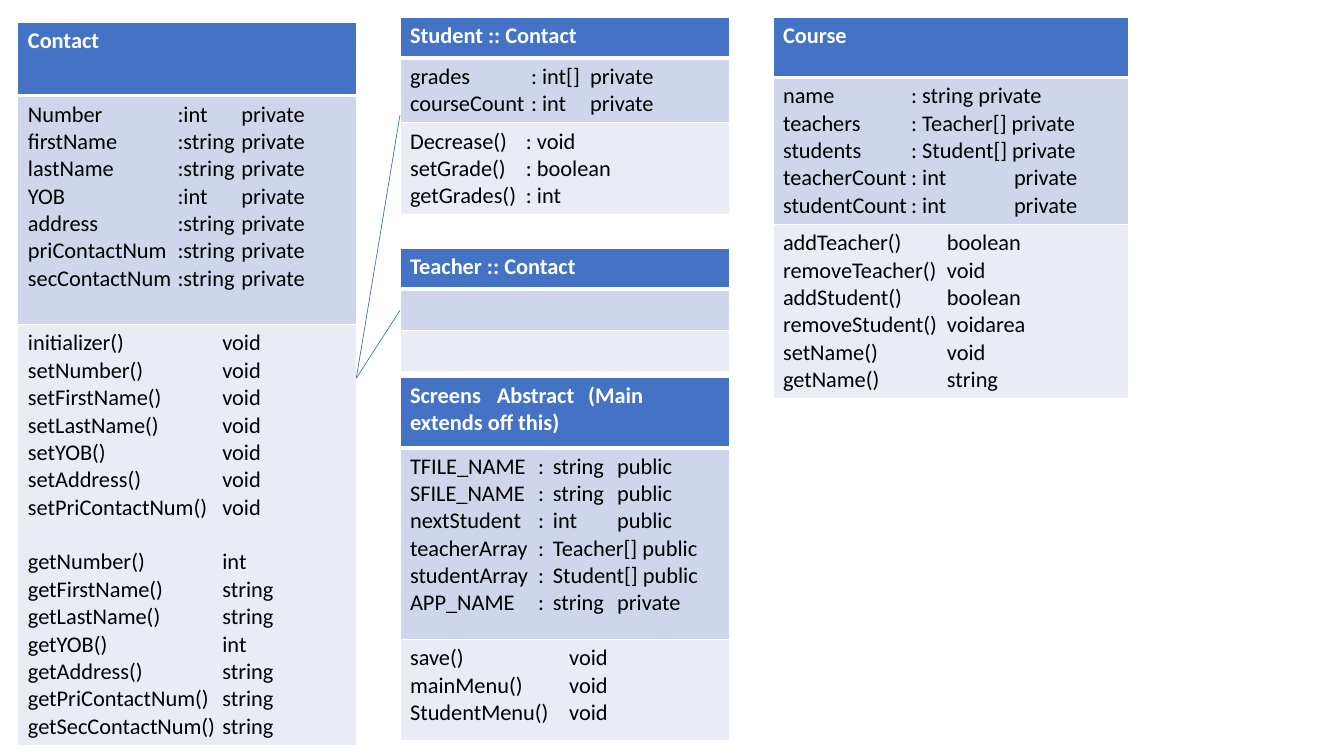
import dataclasses

import lxml.etree
import pptx
import pptx.dml.color
import pptx.oxml
import pptx.oxml.ns
import pptx.util

Cm = pptx.util.Cm
Pt = pptx.util.Pt


@dataclasses.dataclass(frozen=True)
class Theme:
    font: str = "Calibri"
    text_size: float = 16
    group_gap: float = 19.5
    border: float = 1
    header_border: float = 3
    link_width: float = 0.5
    accent: str = "4472C4"
    field_fill: str = "CFD5EA"
    method_fill: str = "E9EBF5"
    light: str = "FFFFFF"
    dark: str = "000000"


THEME = Theme()


@dataclasses.dataclass
class Section:
    """One row of a class box; each group of lines is set apart by a gap."""
    height: float
    groups: list
    tabs: tuple = ()


def rgb(value):
    return pptx.dml.color.RGBColor.from_string(value)


def child(parent, tag, **attributes):
    return lxml.etree.SubElement(parent, pptx.oxml.ns.qn(tag), **attributes)


def set_tabs(paragraph, positions):
    if not positions:
        return
    properties = paragraph._p.get_or_add_pPr()
    tab_list = child(properties, "a:tabLst")
    for position in positions:
        child(tab_list, "a:tab", pos=str(Cm(position)), algn="l")
    # Tab stops come before the default run properties
    properties.find(pptx.oxml.ns.qn("a:defRPr")).addprevious(tab_list)


def set_borders(cell, top, bottom):
    properties = cell._tc.get_or_add_tcPr()
    widths = {"a:lnL": THEME.border, "a:lnR": THEME.border, "a:lnT": top, "a:lnB": bottom}
    for index, (tag, width) in enumerate(widths.items()):
        line = child(properties, tag, w=str(Pt(width)))
        child(child(line, "a:solidFill"), "a:srgbClr", val=THEME.light)
        properties.insert(index, line)


def fill_cell(cell, section, fill, color, bold):
    cell.fill.solid()
    cell.fill.fore_color.rgb = rgb(fill)
    cell.text_frame.text = "\n".join(line for group in section.groups for line in group)
    for paragraph in cell.text_frame.paragraphs:
        font = paragraph.font
        font.name, font.size, font.bold = THEME.font, Pt(THEME.text_size), bold
        font.color.rgb = rgb(color)
        set_tabs(paragraph, section.tabs)
    # Gap before every group after the first
    start = 0
    for group in section.groups[:-1]:
        start += len(group)
        cell.text_frame.paragraphs[start].space_before = Pt(THEME.group_gap)


def add_class_box(slide, left, top, width, sections):
    height = sum(section.height for section in sections)
    table = slide.shapes.add_table(len(sections), 1, Cm(left), Cm(top), Cm(width), Cm(height)).table
    table.first_row = table.horz_banding = False
    table.columns[0].width = Cm(width)
    styles = [
        (THEME.accent, THEME.light, True, THEME.border, THEME.header_border),
        (THEME.field_fill, THEME.dark, False, THEME.header_border, THEME.border),
        (THEME.method_fill, THEME.dark, False, THEME.border, THEME.border),
    ]
    for row, section, (fill, color, bold, upper, lower) in zip(table.rows, sections, styles):
        row.height = Cm(section.height)
        fill_cell(row.cells[0], section, fill, color, bold)
        set_borders(row.cells[0], upper, lower)


def add_link(slide, start, end):
    link = slide.shapes.add_connector(
        pptx.enum.shapes.MSO_CONNECTOR.STRAIGHT, *map(Cm, start + end))
    link.line.color.rgb = rgb(THEME.accent)
    link.line.width = Pt(THEME.link_width)
    child(link._element.spPr, "a:effectLst")


CONTACT = [
    Section(1.85, [["Contact"]]),
    Section(5.77, [[
        "Number\t:int\tprivate", "firstName\t:string\tprivate",
        "lastName\t:string\tprivate", "YOB\t:int\tprivate",
        "address\t:string\tprivate", "priContactNum\t:string\tprivate",
        "secContactNum\t:string\tprivate"]], (3.77, 5.38)),
    Section(10.6, [
        ["initializer()\tvoid", "setNumber()\tvoid", "setFirstName()\tvoid",
         "setLastName()\tvoid", "setYOB()\tvoid", "setAddress()\tvoid",
         "setPriContactNum()\tvoid"],
        ["getNumber()\tint", "getFirstName()\tstring", "getLastName()\tstring",
         "getYOB()\tint", "getAddress()\tstring", "getPriContactNum()\tstring",
         "getSecContactNum()\tstring"]], (4.9,)),
]
STUDENT = [
    Section(1.03, [["Student :: Contact"]]),
    Section(1.63, [["grades\t: int[]\tprivate", "courseCount\t: int\tprivate"]], (3.05, 4.54)),
    Section(2.32, [["Decrease()\t: void", "setGrade()\t: boolean", "getGrades()\t: int"]], (2.92,)),
]
TEACHER = [
    Section(1.04, [["Teacher :: Contact"]]),
    Section(1.04, []),
    Section(1.04, []),
]
SCREENS = [
    Section(1.78, [["Screens\tAbstract\t(Main extends off this)"]], (2.19, 4.49)),
    Section(4.83, [[
        "TFILE_NAME\t:\tstring\tpublic", "SFILE_NAME\t:\tstring\tpublic",
        "nextStudent\t:\tint\tpublic", "teacherArray\t:\tTeacher[] public",
        "studentArray\t:\tStudent[] public", "APP_NAME\t:\tstring\tprivate"]], (3.23, 3.6, 5.22)),
    Section(2.54, [["save()\tvoid", "mainMenu()\tvoid", "StudentMenu()\tvoid"]], (4.01,)),
]
COURSE = [
    Section(1.52, [["Course"]]),
    Section(3.7, [[
        "name\t: string private", "teachers\t: Teacher[] private",
        "students\t: Student[] private", "teacherCount\t: int\tprivate",
        "studentCount\t: int\tprivate"]], (3.23, 5.82)),
    Section(4.38, [[
        "addTeacher()\tboolean", "removeTeacher()\tvoid", "addStudent()\tboolean",
        "removeStudent()\tvoidarea", "setName()\tvoid", "getName()\tstring"]], (4.13,)),
]


def add_class_diagram(slide, left, top):
    # Base class
    contact_width, child_left, child_width = 8.53, 9.63, 8.31
    add_class_box(slide, left, top + 0.13, contact_width, CONTACT)
    # Middle column
    for offset, sections in ((5.82, TEACHER), (0, STUDENT), (9.07, SCREENS)):
        add_class_box(slide, left + child_left, top + offset, child_width, sections)
    # Course
    add_class_box(slide, left + 19.03, top, 8.97, COURSE)
    # Inheritance links
    for offset in (7.39, 2.47):
        add_link(slide, (left + contact_width, top + 9.1), (left + child_left, top + offset))


presentation = pptx.Presentation()
presentation.slide_width, presentation.slide_height = Cm(33.87), Cm(19.05)
class_slide = presentation.slides.add_slide(presentation.slide_layouts[6])
add_class_diagram(class_slide, 0.45, 0.43)
presentation.save("out.pptx")
